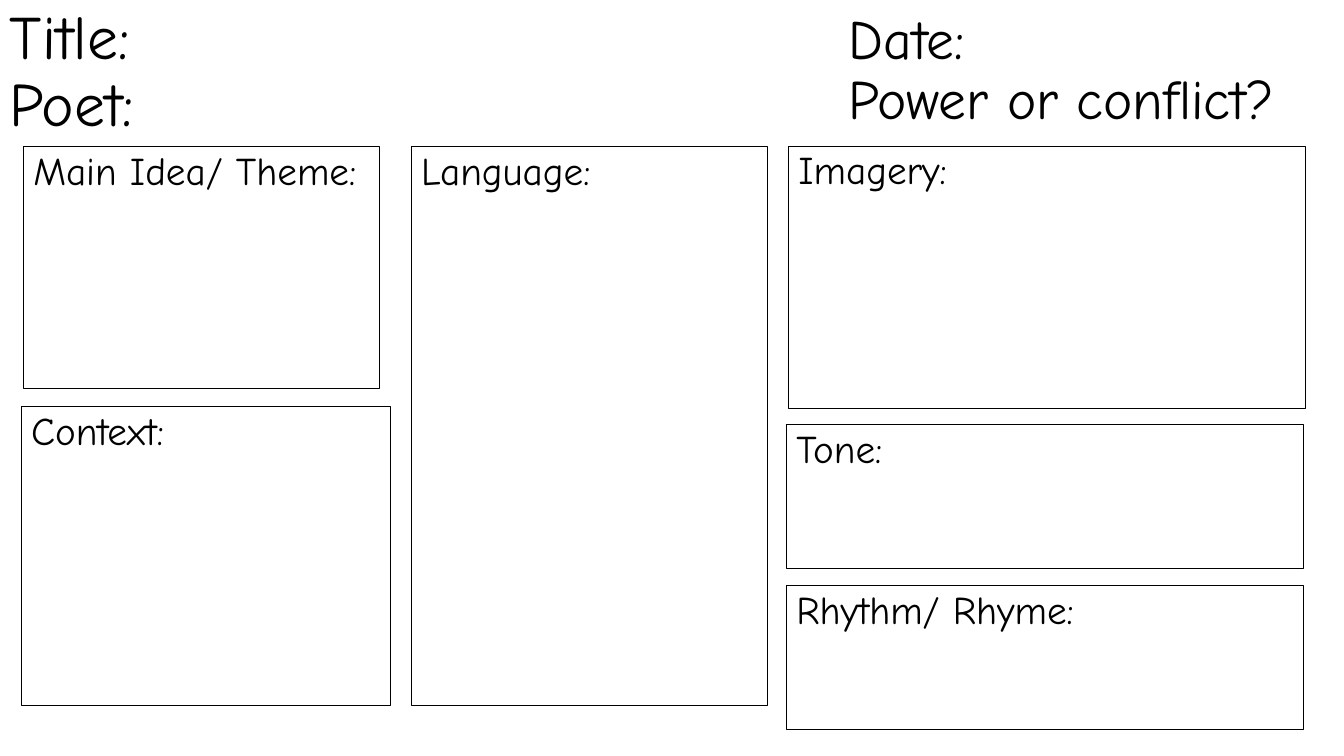
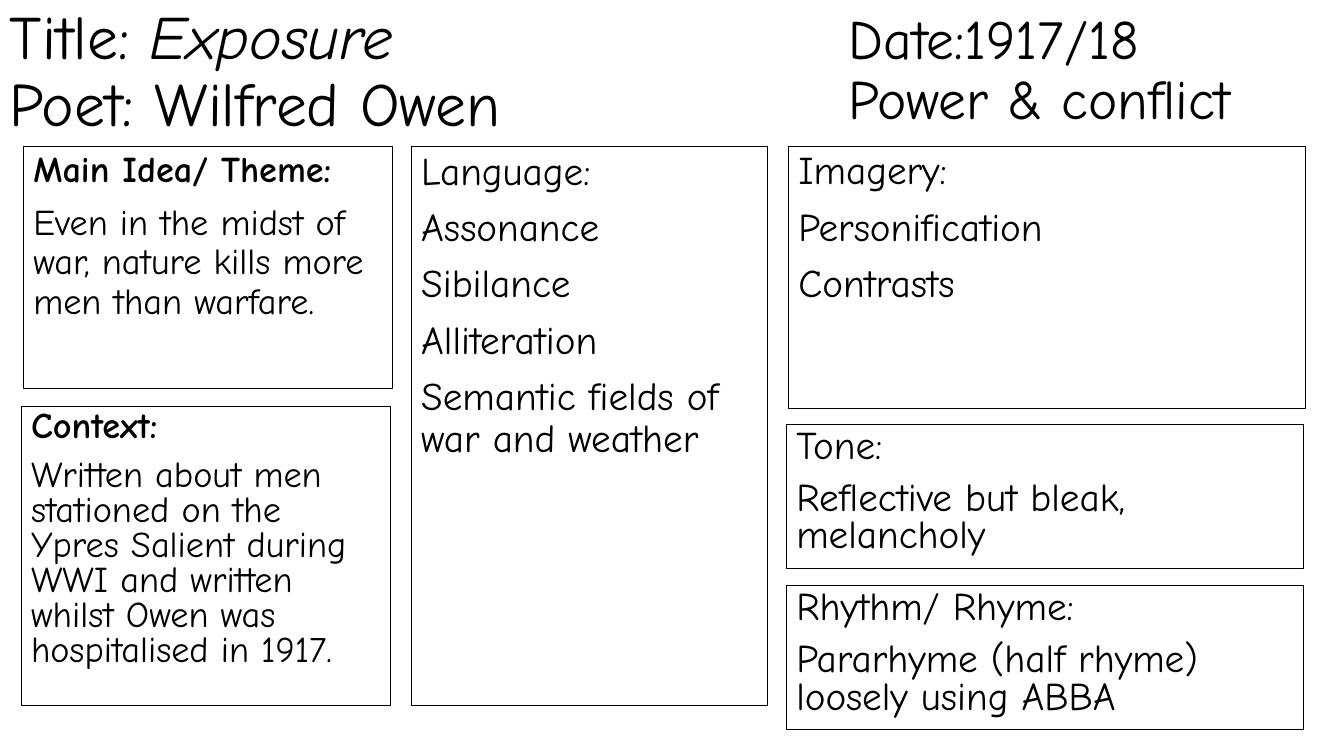
from pptx import Presentation
from pptx.dml.color import RGBColor
from pptx.enum.shapes import MSO_SHAPE
from pptx.enum.text import MSO_ANCHOR, MSO_AUTO_SIZE, PP_ALIGN
from pptx.oxml import parse_xml
from pptx.oxml.ns import nsdecls
from pptx.util import Inches, Pt

# Shared style
BLACK = RGBColor(0, 0, 0)
WHITE = RGBColor(255, 255, 255)
FONT = "Comic Neue"
RECTANGLE = MSO_SHAPE.RECTANGLE
LEFT = PP_ALIGN.LEFT
TOP, MIDDLE = MSO_ANCHOR.TOP, MSO_ANCHOR.MIDDLE
NO_FIT = MSO_AUTO_SIZE.NONE
POEM_SIZE, DATE_SIZE, CARD_SIZE, SMALL_SIZE = 44, 39.6, 28, 25.9
TIGHT = 0.8

# Layout in inches: left, top, width, height
SLIDE_WIDTH, SLIDE_HEIGHT = 13.33, 7.5
CARD_TOP = 1.45
CARD_BOTTOM = 7
CONTEXT_TOP = 4.03
RIGHT_LEFT, RIGHT_WIDTH = 7.8, 5.13
STRIP_TOP, STRIP_HEIGHT, STRIP_STEP = 4.21, 1.43, 1.6
POEM_BOX = (0, 0, 7.24, CARD_TOP)
DATE_BOX = (8.32, 0.14, SLIDE_WIDTH - 8.32, 1.14)
THEME = "Main Idea/ Theme:"
CARD_BOXES = {
    THEME: (0.23, CARD_TOP, 3.53, 2.4),
    "Imagery:": (RIGHT_LEFT + 0.02, CARD_TOP, RIGHT_WIDTH, 2.6),
    "Language:": (4.08, CARD_TOP, 3.53, CARD_BOTTOM - CARD_TOP),
    "Context:": (0.21, CONTEXT_TOP, 3.66, CARD_BOTTOM - CONTEXT_TOP),
    "Tone:": (RIGHT_LEFT, STRIP_TOP, RIGHT_WIDTH, STRIP_HEIGHT),
    "Rhythm/ Rhyme:": (RIGHT_LEFT, STRIP_TOP + STRIP_STEP, RIGHT_WIDTH, STRIP_HEIGHT),
}

# Content: header lines are lists of (text, italic) runs
SLIDES = [
    {
        "poem": [[("Title:", False)], [("Poet:", False)]],
        "date": [[("Date:", False)], [("Power or conflict?", False)]],
        "notes": {},
    },
    {
        "poem": [[("Title: ", False), ("Exposure", True)],
                 [("Poet: Wilfred Owen", False)]],
        "date": [[("Date:1917/18", False)], [("Power & conflict", False)]],
        "notes": {
            THEME: ["Even in the midst of war, nature kills more men than warfare."],
            "Imagery:": ["Personification", "Contrasts"],
            "Language:": ["Assonance", "Sibilance", "Alliteration",
                          "Semantic fields of war and weather"],
            "Context:": ["Written about men stationed on the Ypres Salient during WWI "
                         "and written whilst Owen was hospitalised in 1917."],
            "Tone:": ["Reflective but bleak, melancholy"],
            "Rhythm/ Rhyme:": ["Pararhyme (half rhyme) loosely using ABBA"],
        },
        "theme_width": 3.66,
        "bold": {THEME, "Context:"},
        "tight": {"Context:", "Tone:", "Rhythm/ Rhyme:"},
    },
]


def place(shape, box):
    shape.left, shape.top, shape.width, shape.height = map(Inches, box)


def prepare_frame(shape, anchor):
    frame = shape.text_frame
    frame.word_wrap = True
    frame.auto_size = NO_FIT
    frame.vertical_anchor = anchor
    return frame


def format_paragraph(paragraph, spacing=0.9, before=0):
    properties = paragraph._p.get_or_add_pPr()
    properties.set("marL", "0")
    properties.set("indent", "0")
    properties.append(parse_xml(f"<a:buNone {nsdecls('a')}/>"))
    paragraph.alignment = LEFT
    paragraph.line_spacing = spacing
    paragraph.space_before = Pt(before)


def add_run(paragraph, text, size, bold=False, italic=False):
    run = paragraph.add_run()
    run.text = text
    font = run.font
    font.name, font.size = FONT, Pt(size)
    font.bold, font.italic = bold, italic
    font.color.rgb = BLACK


def fill_header(shape, box, lines, size):
    place(shape, box)
    paragraph = prepare_frame(shape, MIDDLE).paragraphs[0]
    format_paragraph(paragraph)
    for index, line in enumerate(lines):
        if index:
            paragraph.add_line_break()
        for text, italic in line:
            add_run(paragraph, text, size, italic=italic)


def fill_card(shape, box, heading, notes, bold, spacing):
    place(shape, box)
    shape.fill.background()
    shape.line.color.rgb = BLACK
    shape.line.width = Pt(0.75)
    frame = prepare_frame(shape, TOP)
    size = SMALL_SIZE if bold else CARD_SIZE
    for index, text in enumerate([heading, *notes]):
        paragraph = frame.add_paragraph() if index else frame.paragraphs[0]
        format_paragraph(paragraph, spacing, 10 if index else 0)
        add_run(paragraph, text, size, bold=bold and index == 0)


def build_slide(presentation, content):
    slide = presentation.slides.add_slide(presentation.slide_layouts[1])
    slide.background.fill.solid()
    slide.background.fill.fore_color.rgb = WHITE

    # Headers
    fill_header(slide.shapes.title, DATE_BOX, content["date"], DATE_SIZE)
    poem = slide.shapes.add_textbox(0, 0, 0, 0)
    fill_header(poem, POEM_BOX, content["poem"], POEM_SIZE)

    # Cards: the theme uses the body placeholder
    for heading, box in CARD_BOXES.items():
        if heading == THEME:
            card = slide.placeholders[1]
            left, top, width, height = box
            box = (left, top, content.get("theme_width", width), height)
        else:
            card = slide.shapes.add_shape(RECTANGLE, 0, 0, 0, 0)
            card.shadow.inherit = False
        bold = heading in content.get("bold", ())
        spacing = TIGHT if heading in content.get("tight", ()) else 0.9
        fill_card(card, box, heading, content["notes"].get(heading, []), bold, spacing)


def main():
    presentation = Presentation()
    presentation.slide_width = Inches(SLIDE_WIDTH)
    presentation.slide_height = Inches(SLIDE_HEIGHT)
    for content in SLIDES:
        build_slide(presentation, content)
    presentation.save("out.pptx")


if __name__ == "__main__":
    main()
